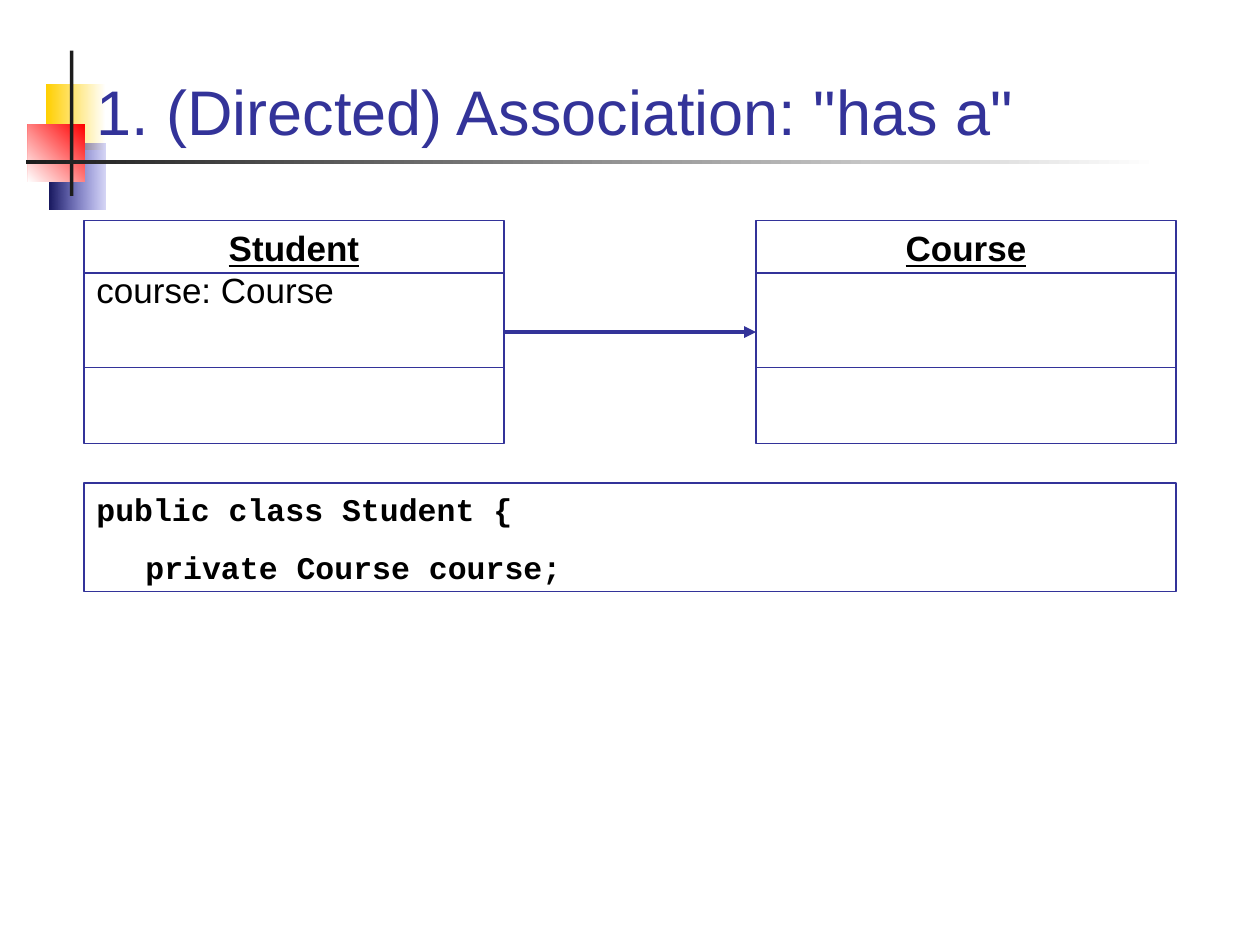
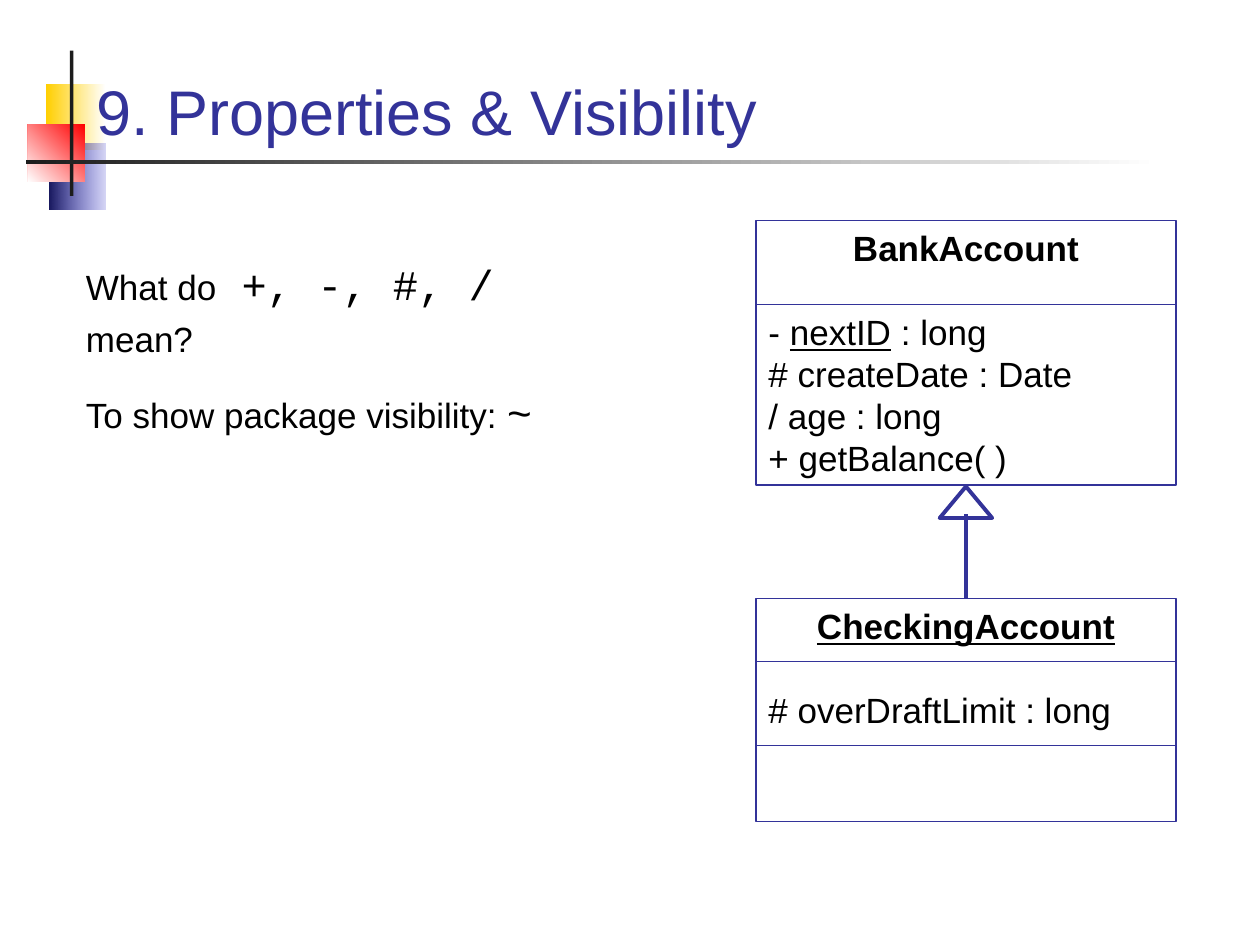
"""Build two UML class-diagram slides on association and visibility."""

from lxml.etree import SubElement
from pptx import Presentation
from pptx.dml.color import RGBColor
from pptx.enum.shapes import MSO_CONNECTOR, MSO_SHAPE
from pptx.enum.text import MSO_ANCHOR, PP_ALIGN
from pptx.oxml.ns import qn
from pptx.util import Pt

NAVY, BLACK, WHITE, CHARCOAL = "333399", "000000", "FFFFFF", "1C1C1C"
THIN, THICK = 0.75, 2.25
LEFT_COLUMN, RIGHT_COLUMN, CLASS_WIDTH = 48, 432, 240
TOP_ROW, BOTTOM_ROW = 126, 342

TITLE_FORMAT = {"name": "Arial", "size": Pt(36)}
PLAIN = {"name": "Arial", "size": Pt(20), "bold": False}
UNDERLINED = PLAIN | {"underline": True}
CLASS_NAME = PLAIN | {"bold": True}
CONCRETE_NAME = CLASS_NAME | {"underline": True}
CODE = {"name": "Courier New", "size": Pt(18), "bold": True}
SYMBOL = {"name": "Courier New", "size": Pt(24)}

CENTERED = {"alignment": PP_ALIGN.CENTER, "line_spacing": Pt(24)}
MEMBER = {"alignment": PP_ALIGN.LEFT, "line_spacing": Pt(24)}
SPACED_MEMBER = MEMBER | {"space_before": Pt(24)}
CODE_LINE = {"alignment": PP_ALIGN.LEFT, "line_spacing": Pt(22)}
QUESTION = {"alignment": PP_ALIGN.LEFT, "line_spacing": Pt(29)}

ACCENTS = [
    ((26.5, 48, 34, 37.5), (WHITE, "FFCF01"), 180, None),
    ((28, 82, 32.5, 37.5), ("3333CC", "17175E"), 180, 20),
    ((16, 71, 32.5, 33), ("FF0000", WHITE), 225, None),
    ((40, 29, 2, 83), (CHARCOAL,), None, None),
    ((15, 91.5, 647, 2), (WHITE, CHARCOAL), 180, None),
]

STUDENT = {
    "frame": (LEFT_COLUMN, TOP_ROW, CLASS_WIDTH, 127.5),
    "dividers": (30, 84),
    "lines": [
        (CENTERED, [("Student", CONCRETE_NAME)]),
        (MEMBER, [("course: Course", PLAIN)]),
    ],
}
COURSE = {
    "frame": (RIGHT_COLUMN, TOP_ROW, CLASS_WIDTH, 127.5),
    "dividers": (30, 84),
    "lines": [(CENTERED, [("Course", CONCRETE_NAME)])],
}
BANK_ACCOUNT = {
    "frame": (RIGHT_COLUMN, TOP_ROW, CLASS_WIDTH, 151.2),
    "dividers": (48,),
    "lines": [
        (CENTERED, [("BankAccount", CLASS_NAME)]),
        (SPACED_MEMBER, [("- ", PLAIN), ("nextID", UNDERLINED), (" : long", PLAIN)]),
        (MEMBER, [("# createDate : Date", PLAIN)]),
        (MEMBER, [("/ age : long", PLAIN)]),
        (MEMBER, [("+ getBalance( )", PLAIN)]),
    ],
}
CHECKING_ACCOUNT = {
    "frame": (RIGHT_COLUMN, BOTTOM_ROW, CLASS_WIDTH, 127.5),
    "dividers": (36, 84),
    "lines": [
        (CENTERED, [("CheckingAccount", CONCRETE_NAME)]),
        (SPACED_MEMBER, [("# overDraftLimit : long", PLAIN)]),
    ],
}
STUDENT_CODE = [
    (CODE_LINE, [("public class Student {", CODE)]),
    (CODE_LINE | {"space_before": Pt(11.2), "indent": 28}, [("private Course course;", CODE)]),
]
VISIBILITY_QUESTIONS = [
    (QUESTION, [("What do", PLAIN), (" +, -, #, / ", SYMBOL), ("mean?", PLAIN)]),
    (QUESTION | {"space_before": Pt(15)}, [("To show package visibility: ", PLAIN), ("~", SYMBOL)]),
]


def color(value):
    """Turn a hex string into a colour."""
    return RGBColor.from_string(value)


def points(values):
    """Turn numbers into lengths in points."""
    return [Pt(value) for value in values]


def apply_format(target, values):
    """Set each attribute named in a dict."""
    for name, value in values.items():
        setattr(target, name, value)


def write_lines(shape, lines, font_color=BLACK):
    """Fill a shape with formatted paragraphs from the top down."""
    frame = shape.text_frame
    apply_format(frame, {"word_wrap": True, "vertical_anchor": MSO_ANCHOR.TOP})
    for index, (layout, runs) in enumerate(lines):
        paragraph = frame.add_paragraph() if index else frame.paragraphs[0]
        settings = dict(layout)
        indent = settings.pop("indent", 0)
        if indent:
            paragraph._p.get_or_add_pPr().set("marL", str(Pt(indent)))
        apply_format(paragraph, settings)
        for text, font_format in runs:
            run = paragraph.add_run()
            run.text = text
            apply_format(run.font, font_format)
            run.font.color.rgb = color(font_color)


def add_outline(slide, kind, frame, width, fill=None):
    """Add a navy-outlined shape."""
    shape = slide.shapes.add_shape(kind, *points(frame))
    shape.shadow.inherit = False
    if fill:
        shape.fill.solid()
        shape.fill.fore_color.rgb = color(fill)
    else:
        shape.fill.background()
    shape.line.color.rgb = color(NAVY)
    shape.line.width = Pt(width)
    return shape


def add_line(slide, ends, width, arrow=False):
    """Add a straight navy connector."""
    connector = slide.shapes.add_connector(MSO_CONNECTOR.STRAIGHT, *points(ends))
    connector.line.color.rgb = color(NAVY)
    connector.line.width = Pt(width)
    if arrow:
        SubElement(connector.line._get_or_add_ln(), qn("a:tailEnd"), type="triangle")
    SubElement(connector.element.spPr, qn("a:effectLst"))
    return connector


def add_class(slide, definition):
    """Add a UML class box with its compartments."""
    left, top, width, _ = definition["frame"]
    box = add_outline(slide, MSO_SHAPE.RECTANGLE, definition["frame"], THIN)
    write_lines(box, definition["lines"])
    for offset in definition["dividers"]:
        add_line(slide, (left, top + offset, left + width, top + offset), THIN)
    return box


def add_accent(slide, frame, colors, angle, opacity):
    """Add one block or rule of the title decoration."""
    shape = slide.shapes.add_shape(MSO_SHAPE.RECTANGLE, *points(frame))
    shape.shadow.inherit = False
    shape.line.fill.background()
    if angle is None:
        shape.fill.solid()
        shape.fill.fore_color.rgb = color(colors[0])
        return
    shape.fill.gradient()
    shape.fill.gradient_angle = angle
    for stop, value in zip(shape.fill.gradient_stops, colors):
        stop.color.rgb = color(value)
    if opacity:
        first_color = shape.element.spPr.find(".//" + qn("a:srgbClr"))
        SubElement(first_color, qn("a:alpha"), val=str(opacity * 1000))


def add_titled_slide(presentation, text):
    """Add a slide with the decoration and the title above it."""
    slide = presentation.slides.add_slide(presentation.slide_layouts[5])
    for accent in ACCENTS:
        add_accent(slide, *accent)
    title = slide.shapes.title
    title.element.getparent().append(title.element)
    apply_format(title, dict(zip(("left", "top", "width", "height"), points((48, 20, 624, 68.5)))))
    write_lines(title, [({"alignment": PP_ALIGN.LEFT}, [(text, TITLE_FORMAT)])], NAVY)
    title.text_frame.vertical_anchor = MSO_ANCHOR.BOTTOM
    return slide


def build_association(presentation):
    """Build the slide on directed association."""
    slide = add_titled_slide(presentation, '1. (Directed) Association: "has a"')
    student = add_class(slide, STUDENT)
    course = add_class(slide, COURSE)
    association = add_line(slide, (288, 186, 432, 186), THICK, arrow=True)
    association.begin_connect(student, 3)
    association.end_connect(course, 1)
    code_box = add_outline(slide, MSO_SHAPE.RECTANGLE, (LEFT_COLUMN, 276, 624, 62), THIN, WHITE)
    write_lines(code_box, STUDENT_CODE)


def build_visibility(presentation):
    """Build the slide on properties and visibility."""
    slide = add_titled_slide(presentation, "9. Properties & Visibility")
    add_class(slide, BANK_ACCOUNT)
    checking_account = add_class(slide, CHECKING_ACCOUNT)
    center = RIGHT_COLUMN + CLASS_WIDTH / 2
    inheritance = add_line(slide, (center, BOTTOM_ROW, center, 294), THICK)
    inheritance.begin_connect(checking_account, 0)
    add_outline(slide, MSO_SHAPE.ISOSCELES_TRIANGLE, (center - 15, 278, 30, 18), THICK)
    questions = slide.shapes.add_textbox(*points((42, 144, 318, 80)))
    write_lines(questions, VISIBILITY_QUESTIONS)


def main():
    """Build and save the presentation."""
    presentation = Presentation()
    apply_format(presentation, {"slide_width": Pt(720), "slide_height": Pt(540)})
    build_association(presentation)
    build_visibility(presentation)
    presentation.save("out.pptx")


if __name__ == "__main__":
    main()
